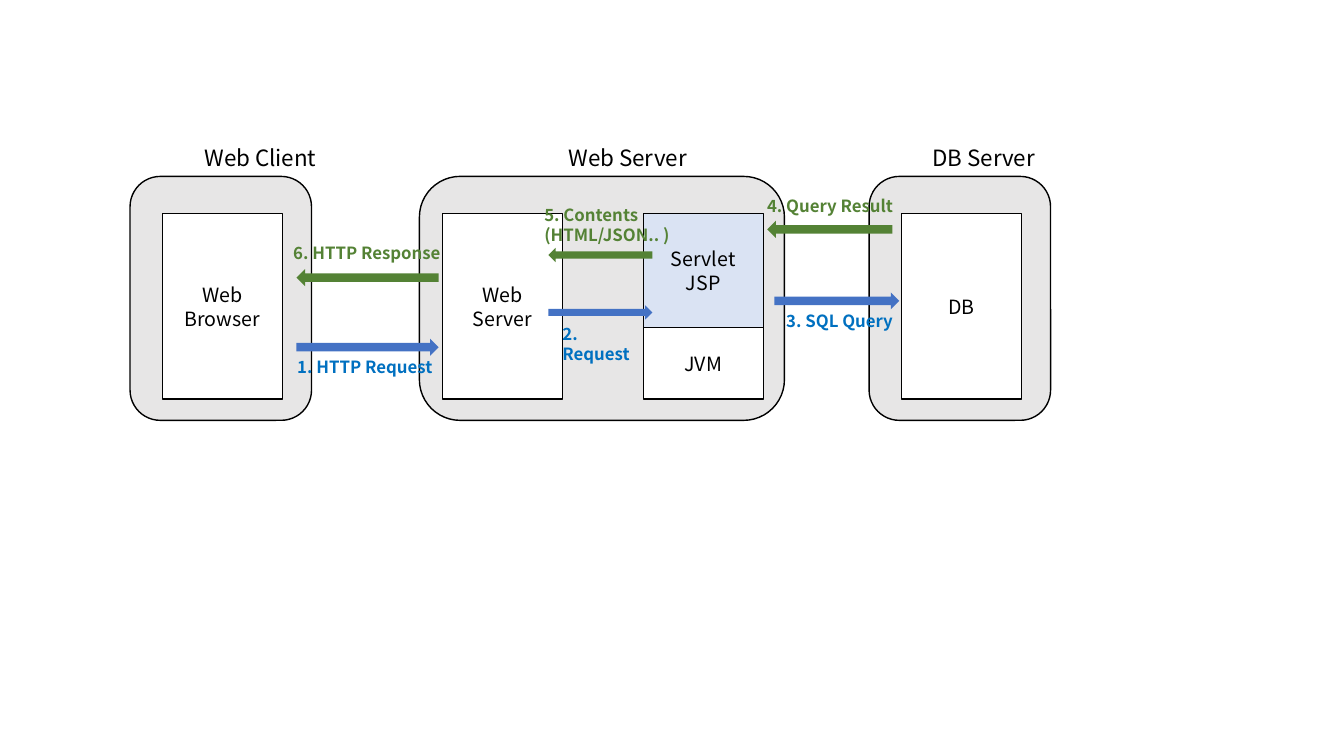
import pptx
import pptx.util
import pptx.dml.color
import pptx.enum.shapes
import pptx.enum.text

PX = 9144  # 100 px to the inch
SHAPE = pptx.enum.shapes.MSO_SHAPE
ALIGN = pptx.enum.text.PP_ALIGN
BLACK, WHITE, GREY, PALE_BLUE = "000000", "FFFFFF", "E7E6E6", "DAE3F3"
REQUEST_ARROW, REQUEST_TEXT, RESPONSE = "4472C4", "0070C0", "548235"


def add_part(preset, left, top, width, height, fill, outlined=True):
    part = diagram.shapes.add_shape(preset, left * PX, top * PX, width * PX, height * PX)
    part.shadow.inherit = False
    part.fill.solid()
    part.fill.fore_color.rgb = pptx.dml.color.RGBColor.from_string(fill)
    if outlined:
        part.line.color.rgb = pptx.dml.color.RGBColor.from_string(BLACK)
        part.line.width = pptx.util.Pt(1)
    else:
        part.line.fill.background()
    return part


def write(holder, text, size, color, bold=False, align=ALIGN.LEFT):
    frame = holder.text_frame
    frame.word_wrap = True
    frame.text = text
    for paragraph in frame.paragraphs:
        paragraph.alignment = align
        paragraph.font.name = "Noto Sans CJK KR"
        paragraph.font.size = pptx.util.Pt(size)
        paragraph.font.bold = bold
        paragraph.font.color.rgb = pptx.dml.color.RGBColor.from_string(color)


presentation = pptx.Presentation()
presentation.slide_width = 1333 * PX
presentation.slide_height = 750 * PX
slide = presentation.slides.add_slide(presentation.slide_layouts[6])
diagram = slide.shapes.add_group_shape()

# Machines
for left, width in [(862, 180), (129, 180), (416, 362)]:
    add_part(SHAPE.ROUNDED_RECTANGLE, left, 175, width, 242, GREY)

# Software running on them
for name, left, top, height, fill in [
    ("Web\nBrowser", 161, 212, 184, WHITE),
    ("Web\nServer", 439, 212, 184, WHITE),
    ("Servlet\nJSP", 638, 212, 113, PALE_BLUE),
    ("JVM", 638, 325, 71, WHITE),
    ("DB", 894, 212, 184, WHITE),
]:
    software = add_part(SHAPE.RECTANGLE, left, top, 119, height, fill)
    software.text_frame.vertical_anchor = pptx.enum.text.MSO_ANCHOR.MIDDLE
    write(software, name, 14, BLACK, align=ALIGN.CENTER)

# Arrows: requests go right, responses go left
for preset, color, arrows in [
    (SHAPE.RIGHT_ARROW, REQUEST_ARROW,
     [(294, 336, 141, 17), (544, 303, 103, 14), (768, 290, 124, 17)]),
    (SHAPE.LEFT_ARROW, RESPONSE,
     [(761, 219, 124, 17), (544, 246, 103, 14), (294, 267, 141, 17)]),
]:
    for left, top, width, height in arrows:
        add_part(preset, left, top, width, height, color, outlined=False)

# Machine names and numbered steps
for caption, left, top, width, height, size, color in [
    ("Web Client", 193, 138, 160, 37, 16, BLACK),
    ("Web Server", 554, 138, 160, 37, 16, BLACK),
    ("DB Server", 915, 138, 160, 37, 16, BLACK),
    ("1. HTTP Request", 285, 349, 160, 30, 12, REQUEST_TEXT),
    ("2. Request", 548, 316, 105, 30, 12, REQUEST_TEXT),
    ("3. SQL Query", 770, 303, 127, 30, 12, REQUEST_TEXT),
    ("4. Query Result", 751, 189, 156, 30, 12, RESPONSE),
    ("5. Contents\n(HTML/JSON.. )", 530, 198, 145, 50, 12, RESPONSE),
    ("6. HTTP Response", 281, 236, 170, 30, 12, RESPONSE),
]:
    label = diagram.shapes.add_textbox(left * PX, top * PX, width * PX, height * PX)
    write(label, caption, size, color, bold=color != BLACK)

presentation.save("out.pptx")
